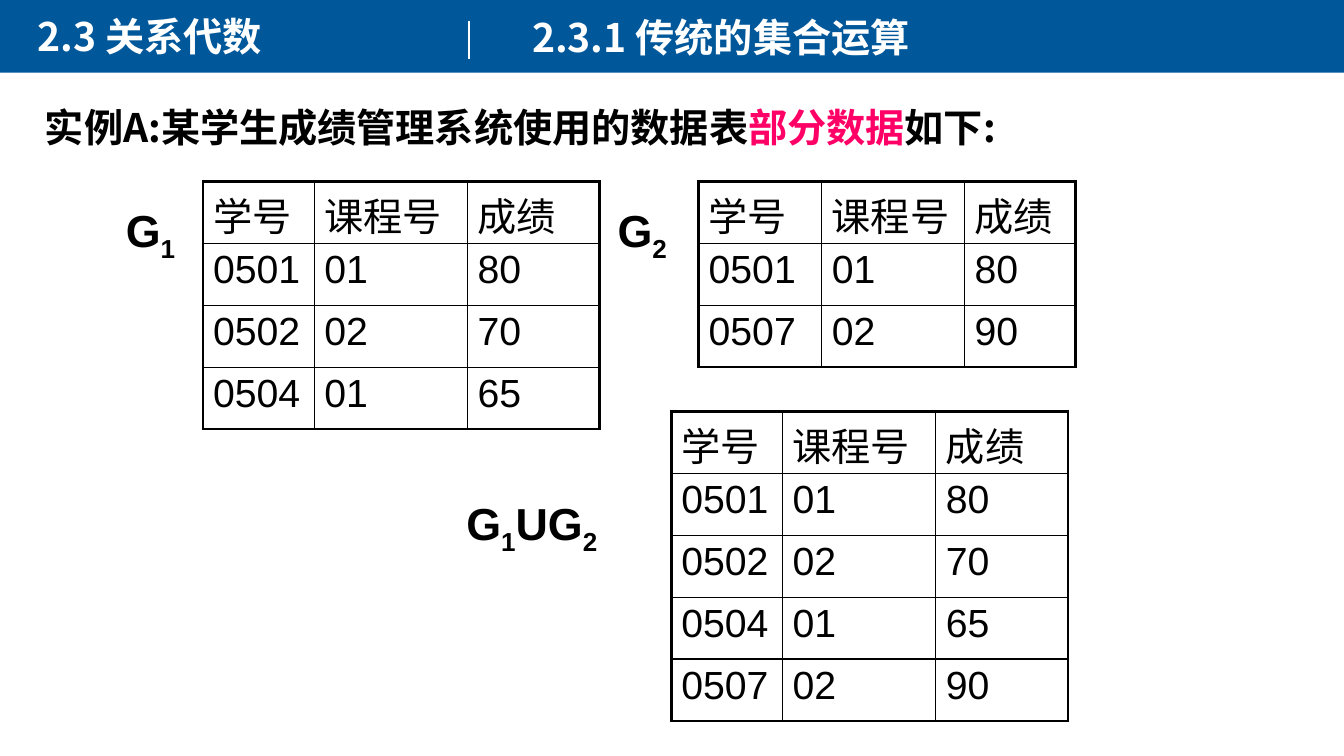
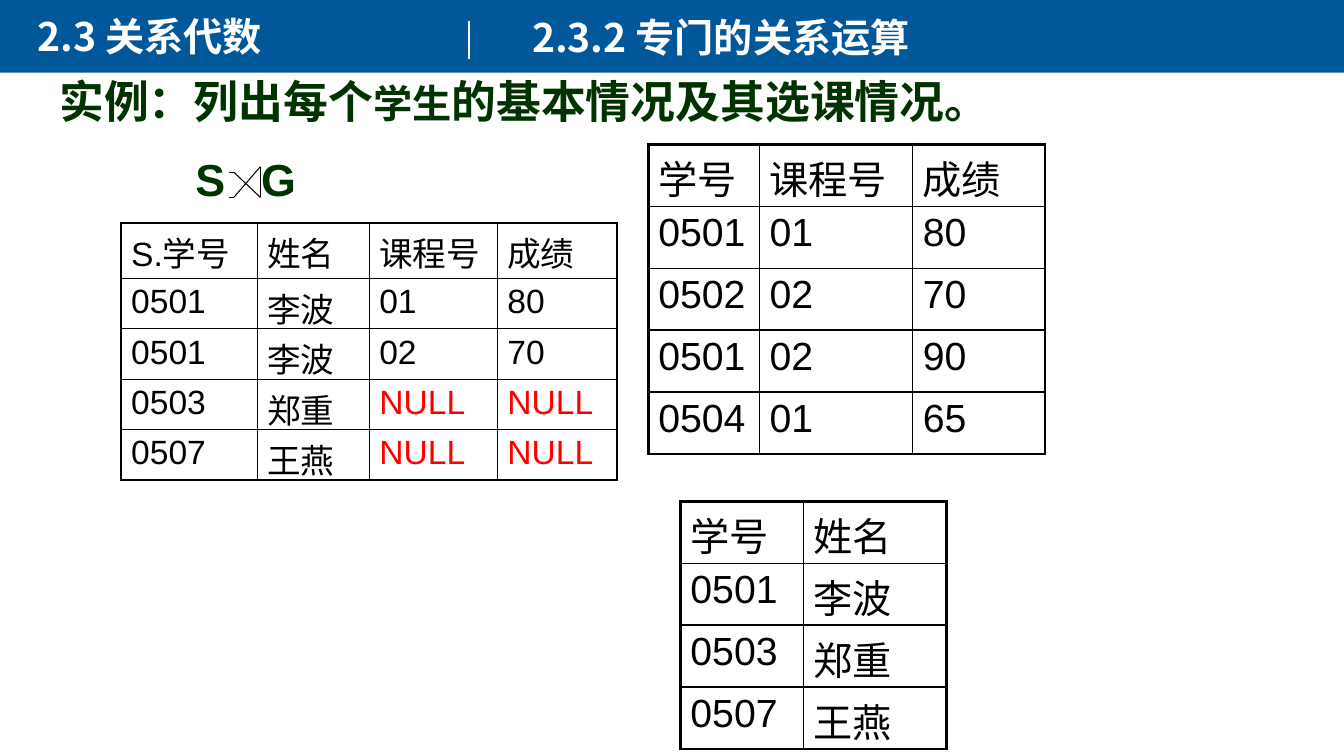
from dataclasses import dataclass
from itertools import pairwise

from lxml.etree import SubElement
from pptx import Presentation
from pptx.dml.color import RGBColor
from pptx.enum.shapes import MSO_CONNECTOR as Connector, MSO_SHAPE as Preset
from pptx.enum.text import MSO_AUTO_SIZE as AutoSize
from pptx.oxml.ns import qn
from pptx.slide import Slide
from pptx.util import Pt

# Shared style
BLUE, WHITE, BLACK = "00589A", "FFFFFF", "000000"
PINK, RED, GREEN = "FF0066", "FF0000", "003300"
LATIN, CHINESE = "Arial", "Noto Sans CJK SC"
SLIDE_WIDTH, SLIDE_HEIGHT = 960, 540
OUTER, INNER = 2.25, 1
ROW_HEIGHT = 44.25
GRADE_COLUMNS = (79.5, 109.5, 94.5)
STUDENT_COLUMNS = (88, 102)
GRADE_HEADER = "学号 课程号 成绩"


@dataclass(frozen=True)
class Span:
    text: str
    size: float = 32
    color: str = BLACK
    font: str = LATIN
    bold: bool = True
    subscript: bool = False


@dataclass(frozen=True)
class Label:
    left: float
    top: float
    width: float
    height: float
    spans: tuple[Span, ...]


@dataclass(frozen=True)
class Grid:
    left: float
    top: float
    columns: tuple[float, ...]
    rows: tuple[str, ...]
    header_height: float = ROW_HEIGHT
    row_height: float = ROW_HEIGHT
    size: float = 28
    bottom_line: float = OUTER


def rgb(color: str) -> RGBColor:
    return RGBColor.from_string(color)


def write_spans(paragraph, spans: tuple[Span, ...]) -> None:
    for span in spans:
        run = paragraph.add_run()
        run.text = span.text
        run.font.size, run.font.bold = Pt(span.size), span.bold
        run.font.color.rgb = rgb(span.color)
        run.font.name = span.font
        properties = run._r.get_or_add_rPr()
        SubElement(properties, qn("a:ea"), typeface=CHINESE)
        if span.subscript:
            properties.set("baseline", "-25000")


def add_label(slide: Slide, label: Label) -> None:
    box = slide.shapes.add_textbox(
        Pt(label.left), Pt(label.top), Pt(label.width), Pt(label.height))
    box.text_frame.word_wrap = True
    box.text_frame.auto_size = AutoSize.SHAPE_TO_FIT_TEXT
    write_spans(box.text_frame.paragraphs[0], label.spans)


def add_line(slide: Slide, start: tuple[float, float], end: tuple[float, float],
             color: str, width: float) -> None:
    line = slide.shapes.add_connector(
        Connector.STRAIGHT, *(Pt(value) for value in (*start, *end)))
    line.line.color.rgb, line.line.width = rgb(color), Pt(width)
    SubElement(line._element.spPr, qn("a:effectLst"))


def set_borders(cell, widths: dict[str, float]) -> None:
    properties = cell._tc.get_or_add_tcPr()
    for index, (side, width) in enumerate(widths.items()):
        border = properties.makeelement(qn(f"a:{side}"), {"w": str(int(Pt(width)))})
        fill = SubElement(border, qn("a:solidFill"))
        SubElement(fill, qn("a:srgbClr"), val=BLACK)
        properties.insert(index, border)


def add_grid(slide: Slide, grid: Grid) -> None:
    last_row, last_column = len(grid.rows) - 1, len(grid.columns) - 1
    height = grid.header_height + last_row * grid.row_height
    table = slide.shapes.add_table(
        last_row + 1, last_column + 1, Pt(grid.left), Pt(grid.top),
        Pt(sum(grid.columns)), Pt(height)).table
    table.first_row = table.horz_banding = False
    for column, width in zip(table.columns, grid.columns):
        column.width = Pt(width)
    for i, values in enumerate(grid.rows):
        table.rows[i].height = Pt(grid.row_height if i else grid.header_height)
        for j, value in enumerate(values.split()):
            cell = table.cell(i, j)
            cell.fill.background()
            color = RED if value == "NULL" else BLACK
            write_spans(cell.text_frame.paragraphs[0],
                        (Span(value, grid.size, color, bold=False),))
            set_borders(cell, {
                "lnL": INNER if j else OUTER,
                "lnR": OUTER if j == last_column else INNER,
                "lnT": INNER if i else OUTER,
                "lnB": grid.bottom_line if i == last_row else INNER,
            })


def add_section_slide(presentation, section: str) -> Slide:
    """Blank slide with the blue band, chapter and section titles."""
    slide = presentation.slides.add_slide(presentation.slide_layouts[6])
    band = slide.shapes.add_shape(
        Preset.RECTANGLE, 0, Pt(-1.5), Pt(SLIDE_WIDTH), Pt(53.5))
    band.shadow.inherit = False
    band.fill.solid()
    band.fill.fore_color.rgb = rgb(BLUE)
    band.line.fill.background()
    for left, top, width, title in ((19.5, 5, 398, "2.3 关系代数"),
                                    (373, 5.75, 587, section)):
        add_label(slide, Label(left, top, width, 41,
                               (Span(title, 28, WHITE, CHINESE),)))
    add_line(slide, (335, 15), (335, 42.5), WHITE, 1.5)
    return slide


def relation_name(*parts: str) -> tuple[Span, ...]:
    return tuple(Span(part, subscript=part.isdigit()) for part in parts)


# Slide 1: union of two grade tables
UNION_LABELS = (
    Label(25, 70, 775, 41, (
        Span("实例A:某学生成绩管理系统使用的数据表", 28, font=CHINESE),
        Span("部分数据", 28, PINK, CHINESE),
        Span("如下:", 28, font=CHINESE))),
    Label(82.75, 141, 62.5, 45.5, relation_name("G", "1")),
    Label(434, 141, 62.5, 45.5, relation_name("G", "2")),
    Label(326, 350.5, 124.5, 45.5, relation_name("G", "1", "UG", "2")),
)
UNION_GRIDS = (
    Grid(145, 129.5, GRADE_COLUMNS,
         (GRADE_HEADER, "0501 01 80", "0502 02 70", "0504 01 65")),
    Grid(499, 129.5, (*STUDENT_COLUMNS, 79.5),
         (GRADE_HEADER, "0501 01 80", "0507 02 90")),
    Grid(479.5, 293.75, GRADE_COLUMNS,
         (GRADE_HEADER, "0501 01 80", "0502 02 70", "0504 01 65", "0507 02 90")),
)

# Slide 2: outer join of students and grades
JOIN_LABELS = (
    Label(35.25, 49, 700, 45.5, (
        Span("实例：列出每个", color=GREEN),
        Span("学生", 28, GREEN),
        Span("的基本情况及其选课情况。", color=GREEN))),
    Label(132.5, 105, 48, 45.5, (Span("S", color=GREEN),)),
    Label(179.5, 105, 48, 45.5, (Span("G", color=GREEN),)),
)
JOIN_SYMBOL = ((163.5, 123), (167, 123), (186, 141),
               (186, 119), (167, 141), (163.5, 141))
JOIN_GRIDS = (
    Grid(86.5, 159.25, (97.25, 80, 91.5, 85.5),
         ("S.学号 姓名 课程号 成绩", "0501 李波 01 80", "0501 李波 02 70",
          "0503 郑重 NULL NULL", "0507 王燕 NULL NULL"),
         header_height=39.5, row_height=36, size=24, bottom_line=INNER),
    Grid(463, 103, GRADE_COLUMNS,
         (GRADE_HEADER, "0501 01 80", "0502 02 70", "0501 02 90", "0504 01 65")),
    Grid(486, 358, STUDENT_COLUMNS,
         ("学号 姓名", "0501 李波", "0503 郑重", "0507 王燕")),
)


def main() -> None:
    presentation = Presentation()
    presentation.slide_width = Pt(SLIDE_WIDTH)
    presentation.slide_height = Pt(SLIDE_HEIGHT)
    for section, labels, grids, symbol in (
            ("2.3.1 传统的集合运算", UNION_LABELS, UNION_GRIDS, ()),
            ("2.3.2 专门的关系运算", JOIN_LABELS, JOIN_GRIDS, JOIN_SYMBOL)):
        slide = add_section_slide(presentation, section)
        for label in labels:
            add_label(slide, label)
        for start, end in pairwise(symbol):
            add_line(slide, start, end, BLACK, 0.75)
        for grid in grids:
            add_grid(slide, grid)
    presentation.save("out.pptx")


if __name__ == "__main__":
    main()
